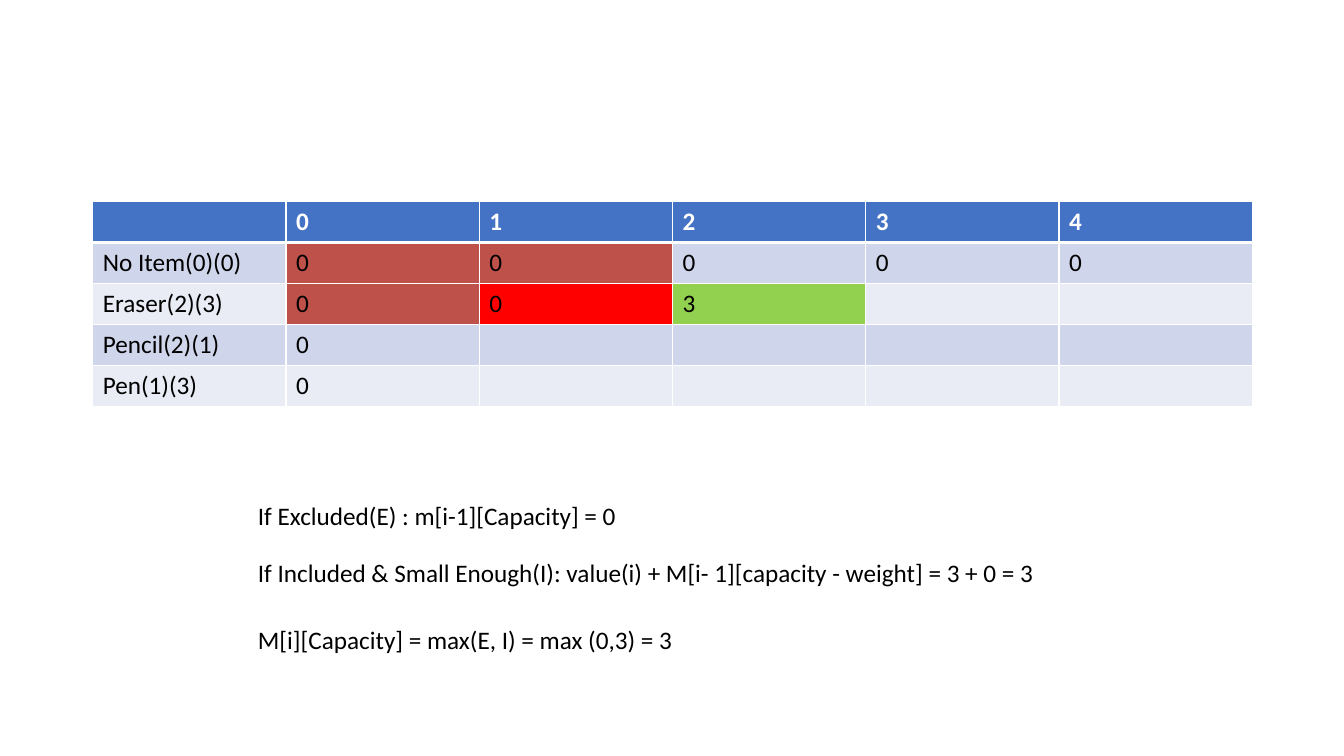
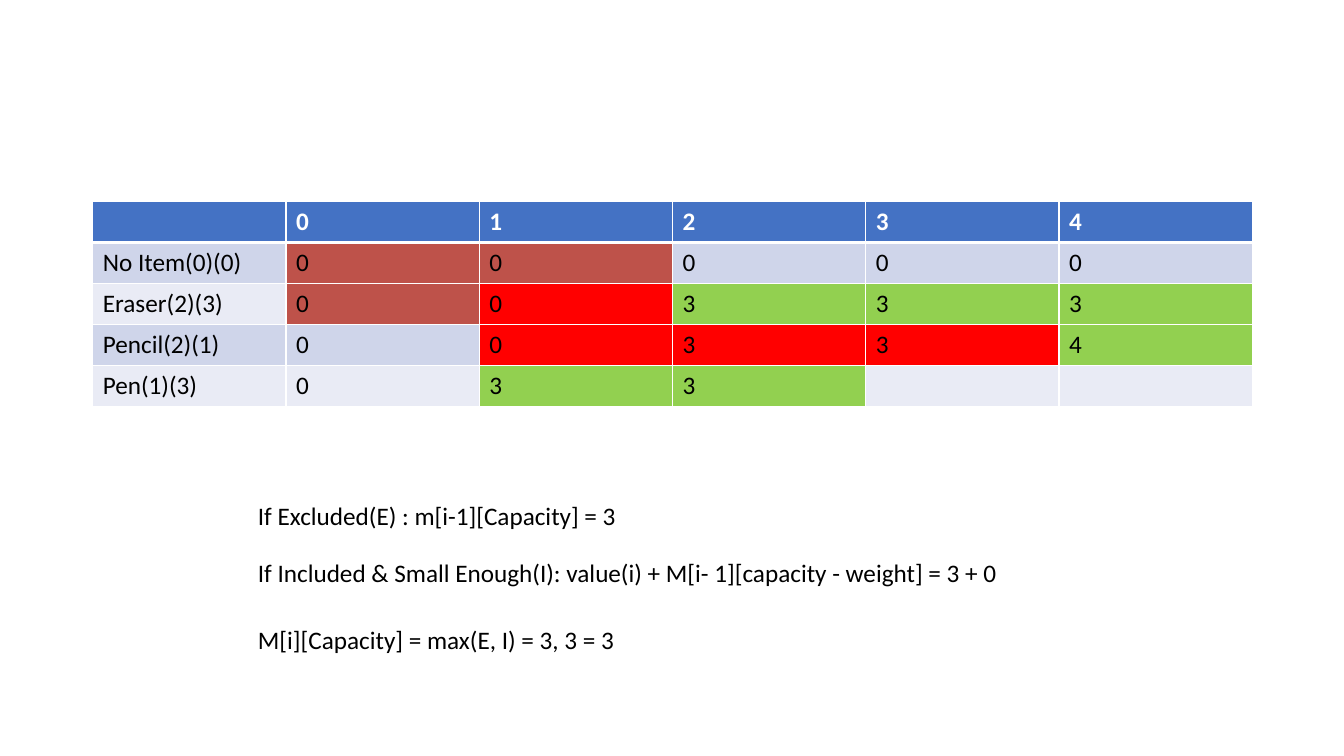
"""Build two slides that fill in a knapsack table step by step."""
import dataclasses
import itertools

import pptx
import pptx.dml.color
import pptx.enum.text
import pptx.oxml
import pptx.oxml.ns
import pptx.util
from pptx.util import Inches


@dataclasses.dataclass(frozen=True)
class Theme:
    font: str = "Calibri"
    size: int = 18
    text: str = "000000"
    header_text: str = "FFFFFF"
    header: str = "4472C4"
    bands: tuple = ("CFD5EA", "E9EBF5")
    border: str = "FFFFFF"
    thin: int = 1
    thick: int = 3
    base: str = "BE524A"
    excluded: str = "FF0000"
    included: str = "92D050"


class Deck:
    def __init__(self, theme):
        self.theme = theme
        self.prs = pptx.Presentation()
        self.prs.slide_width, self.prs.slide_height = Inches(13.33), Inches(7.5)
        self.s = None

    def slide(self):
        self.s = self.prs.slides.add_slide(self.prs.slide_layouts[6])

    def run(self, p, text, color, bold=False):
        r = p.add_run()
        r.text = text
        r.font.name, r.font.size = self.theme.font, pptx.util.Pt(self.theme.size)
        r.font.bold = bold
        r.font.color.rgb = pptx.dml.color.RGBColor.from_string(color)

    def line(self, text, left, top, width):
        sp = self.s.shapes.add_textbox(Inches(left), Inches(top), Inches(width), Inches(0.4))
        tf = sp.text_frame
        tf.word_wrap = True
        tf.auto_size = pptx.enum.text.MSO_AUTO_SIZE.SHAPE_TO_FIT_TEXT
        self.run(tf.paragraphs[0], text, self.theme.text)

    def borders(self, cell, row):
        t = self.theme
        widths = {"L": t.thin, "R": t.thin,
                  "T": t.thick if row == 1 else t.thin,
                  "B": t.thick if row == 0 else t.thin}
        for side, width in widths.items():
            cell._tc.get_or_add_tcPr().append(pptx.oxml.parse_xml(
                f'<a:ln{side} {pptx.oxml.ns.nsdecls("a")} w="{pptx.util.Pt(width)}">'
                f'<a:solidFill><a:srgbClr val="{t.border}"/></a:solidFill></a:ln{side}>'))

    def cell(self, cell, row, text, fill):
        self.borders(cell, row)
        cell.fill.solid()
        cell.fill.fore_color.rgb = pptx.dml.color.RGBColor.from_string(fill)
        if text:
            color = self.theme.text if row else self.theme.header_text
            self.run(cell.text_frame.paragraphs[0], text, color, bold=row == 0)

    def table(self, capacities, items, left, top, width, height):
        t = self.theme
        marks = {"b": t.base, "x": t.excluded, "i": t.included}
        columns = len(capacities) + 1
        table = self.s.shapes.add_table(len(items) + 1, columns, Inches(left), Inches(top),
                                        Inches(width), Inches(height)).table
        for row, (name, values, states) in enumerate([("", capacities, ""), *items]):
            plain = t.bands[(row - 1) % 2] if row else t.header
            cells = itertools.zip_longest([name, *values], "-" + states, fillvalue="")
            for column, (text, state) in enumerate(cells):
                self.cell(table.cell(row, column), row, text, marks.get(state, plain))
            for column in range(len(values) + 1, columns):
                self.cell(table.cell(row, column), row, "", plain)


STEPS = [
    ([("No Item(0)(0)", "00000", "bb"),
      ("Eraser(2)(3)", "003", "bxi"),
      ("Pencil(2)(1)", "0", ""),
      ("Pen(1)(3)", "0", "")],
     [("If Excluded(E) : m[i-1][Capacity] = 0", 7.58),
      ("If Included & Small Enough(I): value(i) + M[i- 1][capacity - weight] = 3 + 0 = 3", 8.29),
      ("M[i][Capacity] = max(E, I) = max (0,3) = 3", 6.78)]),
    ([("No Item(0)(0)", "00000", "bb"),
      ("Eraser(2)(3)", "00333", "bxiii"),
      ("Pencil(2)(1)", "00334", "-xxxi"),
      ("Pen(1)(3)", "033", "-ii")],
     [("If Excluded(E) : m[i-1][Capacity] = 3", 7.58),
      ("If Included & Small Enough(I): value(i) + M[i- 1][capacity - weight] = 3 + 0", 7.74),
      ("M[i][Capacity] = max(E, I) = 3, 3 = 3", 6.78)]),
]
LINE_TOPS = (4.91, 5.48, 6.14)


def main():
    deck = Deck(Theme())
    for items, lines in STEPS:
        deck.slide()
        deck.table("01234", items, 0.92, 2, 11.5, 2.03)
        for (text, width), top in zip(lines, LINE_TOPS):
            deck.line(text, 2.46, top, width)
    deck.prs.save("out.pptx")


if __name__ == "__main__":
    main()
